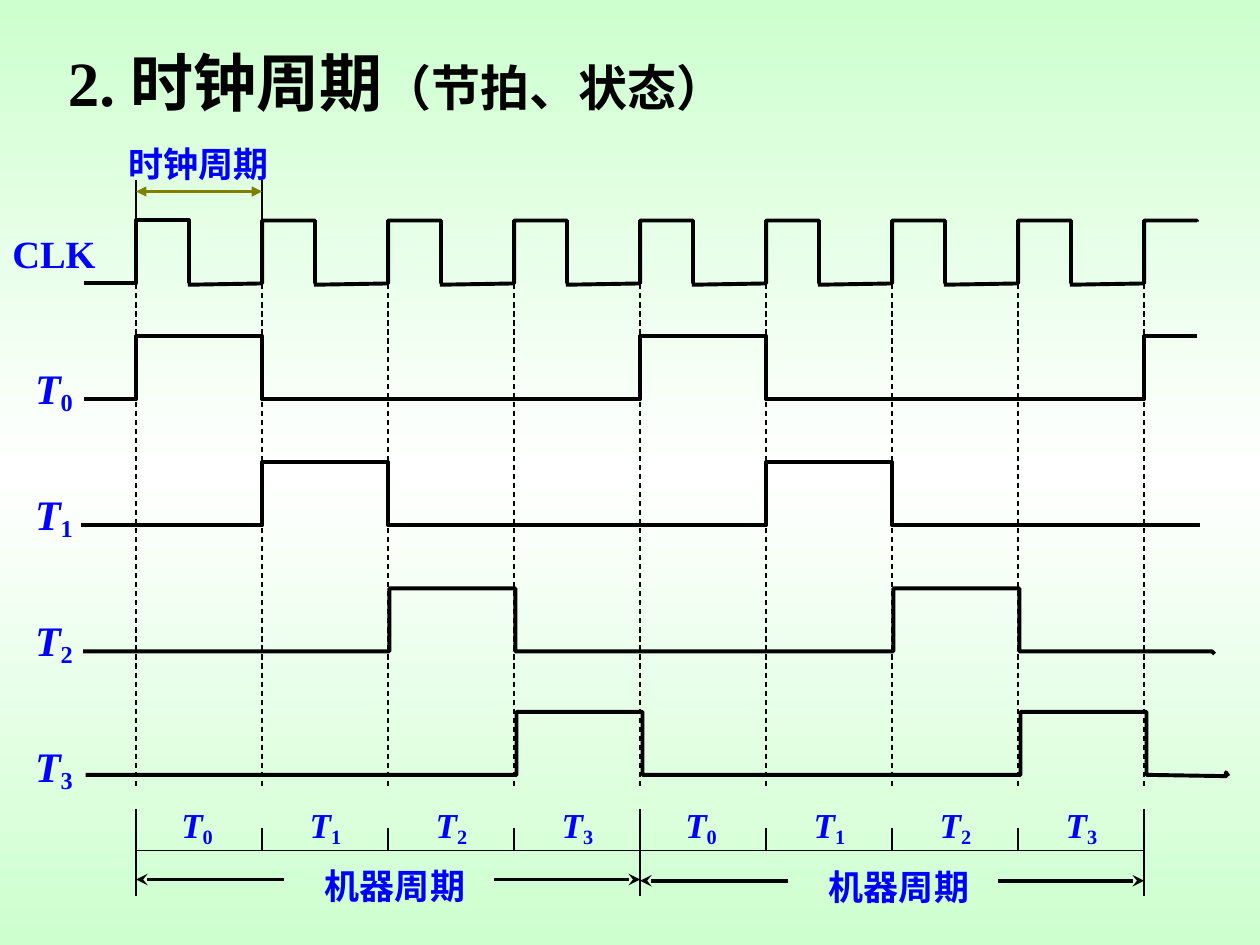
"""Build a timing diagram slide of clock periods and machine cycles."""
from copy import deepcopy

from pptx import Presentation
from pptx.dml.color import RGBColor
from pptx.enum.dml import MSO_LINE
from pptx.enum.shapes import MSO_CONNECTOR
from pptx.enum.text import MSO_AUTO_SIZE
from pptx.oxml.ns import qn
from pptx.util import Inches, Pt
from lxml import etree

STRAIGHT = MSO_CONNECTOR.STRAIGHT
DASH = MSO_LINE.DASH
FIT_SHAPE = MSO_AUTO_SIZE.SHAPE_TO_FIT_TEXT
BLACK, BLUE, OLIVE = "000000", "0000FF", "808000"
FONT = "Times New Roman"
rgb = RGBColor.from_string


def add_line(shapes, start, end, width, color=BLACK, head=None, tail=None):
    points = [Inches(value) for value in (*start, *end)]
    connector = shapes.add_connector(STRAIGHT, *points)
    connector.line.color.rgb = rgb(color)
    connector.line.width = Pt(width)
    outline = connector.line._get_or_add_ln()
    for tag, arrow in (("a:headEnd", head), ("a:tailEnd", tail)):
        if arrow:
            etree.SubElement(outline, qn(tag), type=arrow)
    etree.SubElement(connector._element.spPr, qn("a:effectLst"))
    return connector


def add_label(shapes, left, top, width, height, runs, color=BLUE):
    box = shapes.add_textbox(Inches(left), Inches(top), Inches(width), Inches(height))
    frame = box.text_frame
    frame.word_wrap = False
    frame.auto_size = FIT_SHAPE
    for text, size, italic, baseline in runs:
        run = frame.paragraphs[0].add_run()
        run.text = text
        run.font.size = Pt(size)
        run.font.name = FONT
        run.font.bold = True
        run.font.italic = italic
        run.font.color.rgb = rgb(color)
        if baseline:
            run._r.get_or_add_rPr().set("baseline", str(baseline))


prs = Presentation()
prs.slide_width = Inches(10)
prs.slide_height = Inches(7.5)
slide = prs.slides.add_slide(prs.slide_layouts[6])
shapes = slide.shapes

background = slide.background.fill
background.gradient()
background.gradient_angle = 270
stop_list = slide._element.find(".//" + qn("a:gsLst"))
stop_list.append(deepcopy(stop_list[0]))
stops = ((0, "CDFFCE"), (0.5, "FFFFFF"), (1, "CDFFCE"))
for stop, (position, color) in zip(background.gradient_stops, stops):
    stop.color.rgb = rgb(color)
    stop.position = position

edges = [1.08 + period for period in range(9)]
clock_group = shapes.add_group_shape().shapes
period_group = shapes.add_group_shape().shapes

waves = []
state_rows = (
    (0.67, 3.17, 1.08, [(9.08, 3.17), (9.08, 2.67), (9.5, 2.67)]),
    (0.64, 4.17, 2.08, [(9.52, 4.17)]),
    (0.66, 5.17, 3.09, [(9.62, 5.17), (9.64, 5.19)]),
    (0.68, 6.15, 4.1, [(9.73, 6.16), (9.73, 6.13), (9.75, 6.16)]),
)
for start, low, rise, ending in state_rows:
    wave = [(start, low)]
    for pulse in (rise, rise + 4):
        wave += [(pulse, low), (pulse, low - 0.5), (pulse + 1, low - 0.5), (pulse + 1, low)]
    waves.append((shapes, wave + ending))
for period, edge in enumerate(edges):
    start = (edge - 0.59, 2.26) if period else (0.67, 2.25)
    fall = 2.25 if period < 8 else 1.76
    middle = edge + 0.42
    waves.append((clock_group, [start, (edge, 2.25), (edge, 1.75), (middle, 1.75), (middle, fall)]))

for parent, wave in waves:
    points = [(Inches(x), Inches(y)) for x, y in wave]
    builder = parent.build_freeform(*points[0])
    builder.add_line_segments(points[1:], close=False)
    signal = builder.convert_to_shape()
    signal.shadow.inherit = False
    signal.fill.background()
    signal.line.color.rgb = rgb(BLACK)
    signal.line.width = Pt(2.25)

for period, edge in enumerate(edges):
    guide = add_line(clock_group, (edge, 1.97), (edge, 6.25), 0.75)
    guide.line.dash_style = DASH
    top, bottom = (6.57, 6.75) if period % 4 else (6.42, 7.11)
    add_line(shapes, (edge, top), (edge, bottom), 0.75)
add_line(shapes, (edges[0], 6.75), (edges[-1], 6.75), 0.75)

for edge in edges[:2]:
    add_line(period_group, (edge, 1.43), (edge, 1.77), 1.5)
add_line(period_group, (1.08, 1.52), (2.08, 1.52), 1.5, OLIVE, "triangle", "triangle")
add_label(period_group, 0.92, 1.08, 1.31, 0.44, [("时钟周期", 20, False, 0)])

for cycle_start, level in ((1.08, 6.98), (5.08, 6.99)):
    cycle_end = cycle_start + 4
    add_line(shapes, (cycle_end - 1.16, level), (cycle_end, level), 2.25, tail="stealth")
    add_line(shapes, (cycle_start + 1.17, level), (cycle_start, level), 2.25, tail="stealth")
    add_label(shapes, cycle_start + 1.4, level - 0.17, 1.31, 0.44, [("机器周期", 20, False, 0)])

add_label(shapes, 0, 1.78, 0.86, 0.47, [("CLK", 22, False, 0)])
for state in range(4):
    add_label(shapes, 0.18, 2.83 + state, 0.5, 0.52,
              [("T", 24, True, 0), (str(state), 24, False, -15000)])
for period in range(8):
    state = period % 4
    left = period + (1.36 if state else 1.34)
    add_label(shapes, left, 6.33, 0.45, 0.45,
              [("T", 20, True, 0), (str(state), 20, False, -15000)])

add_label(shapes, 0.44, 0.3, 5.7, 0.7,
          [("2. 时钟周期", 36, False, 0), ("（节拍、状态）", 28, False, 0)], BLACK)

prs.save("out.pptx")
